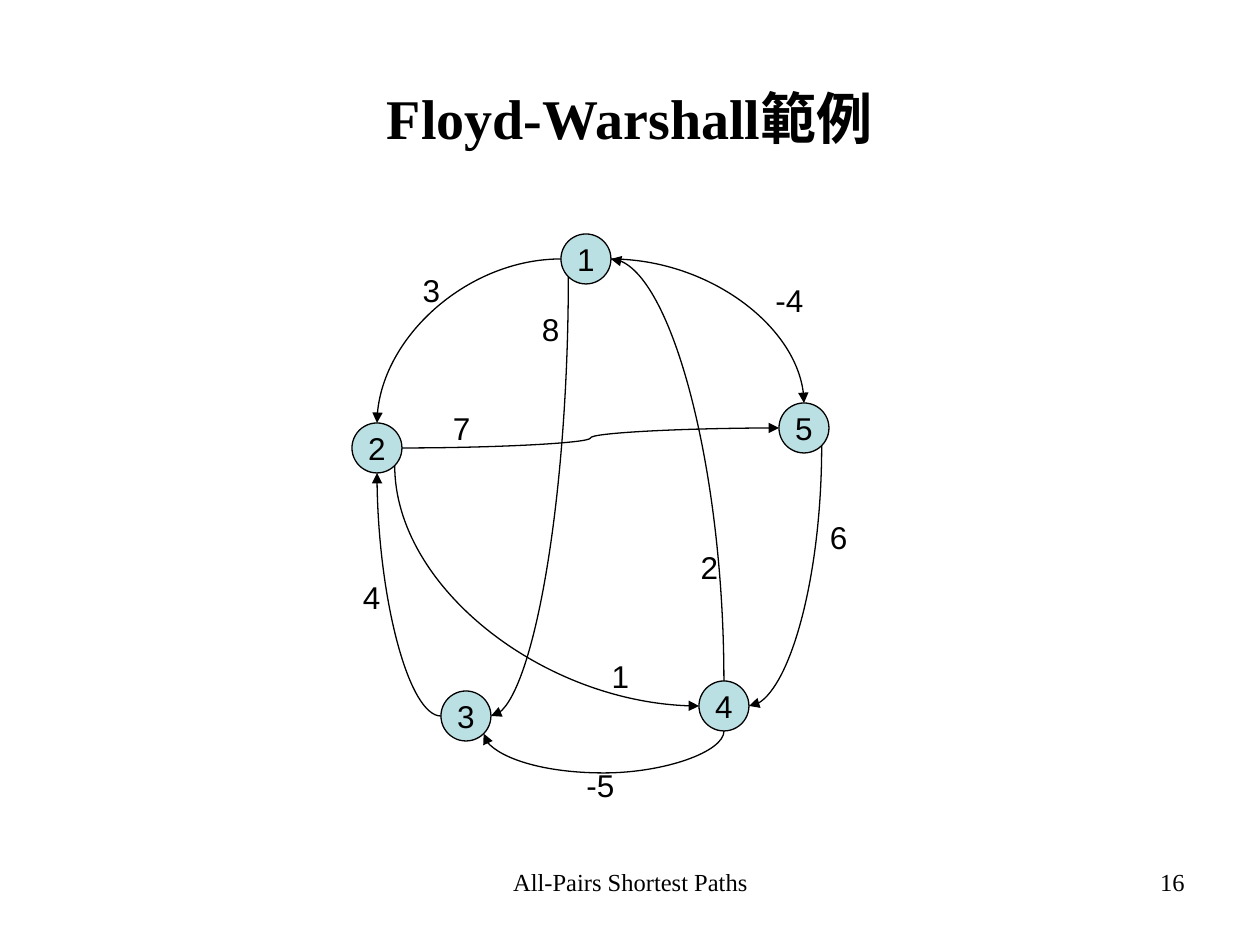
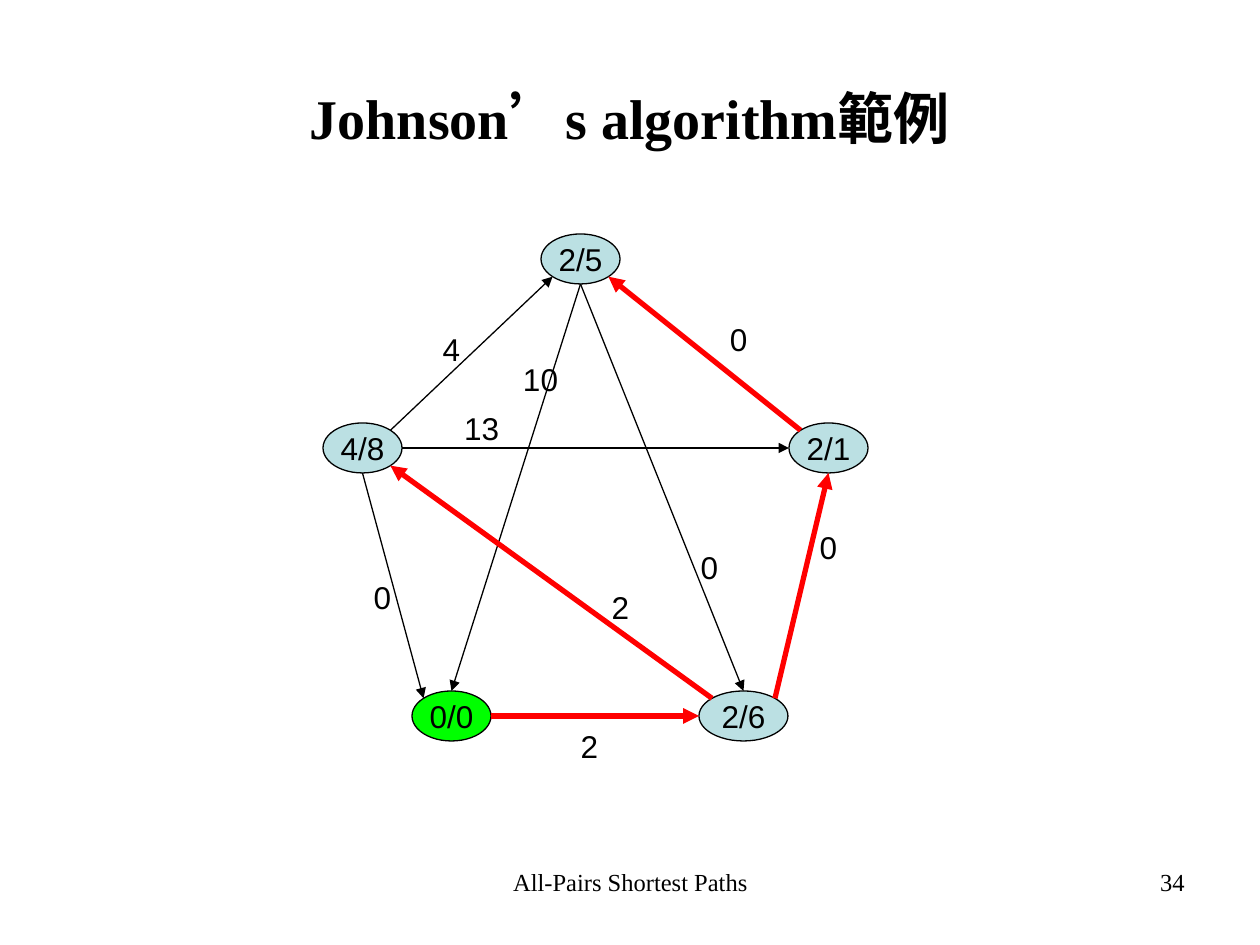
"""Build two slides of weighted directed graphs on all-pairs shortest paths."""
import math

import lxml.etree
import pptx
import pptx.dml.color
import pptx.enum.lang
import pptx.enum.shapes
import pptx.enum.text
import pptx.oxml.ns
import pptx.util

PX = 914400 / 126
COLORS = {"ink": "000000", "node": "BBE0E3", "source": "00FF00", "path": "FF0000"}
SERIF, SANS = "Times New Roman", "Arial"
ALIGN = pptx.enum.text.PP_ALIGN
ANCHOR = pptx.enum.text.MSO_ANCHOR
LINK = pptx.enum.shapes.MSO_CONNECTOR
TITLE_BOX = (63, 38, 1134, 158)
FOOTER_BOX = (431, 861, 399, 65)
NUMBER_BOX = (903, 861, 294, 65)
GRAPH_BOX = (312, 234, 576, 576)
NODE_HEIGHT = 50
LABEL_SIZE = (119, 50)
SIDE_SITES = (2, 6)

FLOYD = {
    "title": "Floyd-Warshall範例",
    "number": 16,
    "nodes": {
        "1": (249, 0, 50, "node"),
        "2": (40, 189, 50, "node"),
        "5": (467, 169, 50, "node"),
        "3": (129, 457, 50, "node"),
        "4": (387, 447, 50, "node"),
    },
    "edges": [
        ("1", 2, "2", 0, "3", (60, 31), {}),
        ("1", 3, "3", 6, "8", (179, 70), {}),
        ("1", 6, "5", 0, "-4", (418, 41), {}),
        ("2", 5, "4", 2, "1", (249, 417), {}),
        ("2", 6, "5", 2, "7", (90, 169), {}),
        ("3", 2, "2", 4, "4", (0, 338), {}),
        ("4", 0, "1", 6, "2", (338, 308), {}),
        ("4", 4, "3", 5, "-5", (229, 526), {"drop": 42}),
        ("5", 5, "4", 6, "6", (467, 278), {}),
    ],
    "curved": True,
}
HEAVY = {"color": "path", "width": 3}
JOHNSON = {
    "title": "Johnson’s algorithm範例",
    "number": 34,
    "nodes": {
        "2/5": (229, 0, 79, "node"),
        "4/8": (11, 189, 79, "node"),
        "2/1": (477, 189, 79, "node"),
        "0/0": (100, 457, 79, "source"),
        "2/6": (387, 457, 89, "node"),
    },
    "edges": [
        ("4/8", 7, "2/5", 3, "4", (80, 90), {}),
        ("2/1", 1, "2/5", 5, "0", (367, 80), HEAVY),
        ("4/8", 4, "0/0", 1, "0", (11, 338), {}),
        ("0/0", 6, "2/6", 2, "2", (218, 487), HEAVY),
        ("2/6", 7, "2/1", 4, "0", (457, 288), HEAVY),
        ("2/5", 4, "0/0", 0, "10", (169, 120), {}),
        ("2/5", 4, "2/6", 0, "0", (338, 308), {}),
        ("2/6", 1, "4/8", 5, "2", (249, 348), HEAVY),
        ("4/8", 6, "2/1", 2, "13", (110, 169), {}),
    ],
    "curved": False,
}


def emu(*lengths):
    """Turn px lengths into EMU."""
    return [pptx.util.Emu(round(length * PX)) for length in lengths]


def rgb(name):
    """Look up a named colour."""
    return pptx.dml.color.RGBColor.from_string(COLORS[name])


def write(frame, text, size=18, font=SANS, bold=False, align=ALIGN.CENTER,
          anchor=ANCHOR.TOP, wrap=True):
    """Put one formatted paragraph into a text frame."""
    frame.word_wrap = wrap
    frame.vertical_anchor = anchor
    para = frame.paragraphs[0]
    para.alignment = align
    span = para.add_run()
    span.text = text
    span.font.size = pptx.util.Pt(size)
    span.font.name = font
    span.font.bold = bold
    span.font.color.rgb = rgb("ink")
    span.font.language_id = pptx.enum.lang.MSO_LANGUAGE_ID.TRADITIONAL_CHINESE


def add_text(page, box, text, **style):
    """Add a text box."""
    write(page.shapes.add_textbox(*emu(*box)).text_frame, text, **style)


def add_frame(page, title, number):
    """Add the title, the footer and the page number."""
    add_text(page, TITLE_BOX, title, size=32, font=SERIF, bold=True, anchor=ANCHOR.MIDDLE)
    add_text(page, FOOTER_BOX, "All-Pairs Shortest Paths", size=14, font=SERIF)
    add_text(page, NUMBER_BOX, str(number), size=14, font=SERIF, align=ALIGN.RIGHT)


def add_node(page, box, text, color):
    """Add a labelled ellipse."""
    node = page.shapes.add_shape(pptx.enum.shapes.MSO_SHAPE.OVAL, *emu(*box))
    node.shadow.inherit = False
    node.fill.solid()
    node.fill.fore_color.rgb = rgb(color)
    node.line.color.rgb = rgb("ink")
    node.line.width = pptx.util.Pt(0.75)
    write(node.text_frame, text, anchor=ANCHOR.MIDDLE, wrap=False)
    return node


def site_point(node, site):
    """Find a connection site, counted anticlockwise from the top."""
    angle = math.radians(45 * site)
    return (node.left + node.width / 2 * (1 - math.sin(angle)),
            node.top + node.height / 2 * (1 - math.cos(angle)))


def bend(edge, start, end, sites, drop):
    """Curve a connector so that it leaves and enters along its sites' axes."""
    dx, dy = end[0] - start[0], end[1] - start[1]
    sideways, lands_sideways = [site in SIDE_SITES for site in sites]
    width, height = (abs(dx), abs(dy)) if sideways else (abs(dy), abs(dx))
    edge.left = round((start[0] + end[0] - width) / 2)
    edge.top = round((start[1] + end[1] - height) / 2)
    edge.width, edge.height = round(width), round(height)
    if sideways:
        turn, flip, flipped = 180 if dx < 0 else 0, "flipV", (dx < 0) != (dy < 0)
    else:
        turn, flip, flipped = 90 if dx < 0 else 270, "flipH", (dx < 0) != (dy > 0)
    form = edge._element.spPr.find(pptx.oxml.ns.qn("a:xfrm"))
    for name in ("flipH", "flipV"):
        form.set(name, str(int(flipped and name == flip)))
    form.set("rot", str(turn * 60000))
    shape = edge._element.spPr.find(pptx.oxml.ns.qn("a:prstGeom"))
    shape.set("prst", "curvedConnector3" if sideways == lands_sideways else "curvedConnector2")
    if drop:
        guides = shape.find(pptx.oxml.ns.qn("a:avLst"))
        ratio = round(drop * PX / width * 100000)
        lxml.etree.SubElement(guides, pptx.oxml.ns.qn("a:gd"), name="adj1", fmla=f"val {ratio}")


def add_edge(page, nodes, sites, curved, color="ink", width=0.75, drop=None):
    """Add an arrow glued to two nodes."""
    start, end = [site_point(node, site) for node, site in zip(nodes, sites)]
    kind = LINK.CURVE if curved else LINK.STRAIGHT
    edge = page.shapes.add_connector(kind, *[round(value) for value in start + end])
    edge.line.color.rgb = rgb(color)
    edge.line.width = pptx.util.Pt(width)
    if curved:
        bend(edge, start, end, sites, drop)
    qn = pptx.oxml.ns.qn
    glue = edge._element.find(".//" + qn("p:cNvCxnSpPr"))
    for tag, node, site in zip(("a:stCxn", "a:endCxn"), nodes, sites):
        lxml.etree.SubElement(glue, qn(tag), id=str(node.shape_id), idx=str(site))
    look = edge._element.spPr
    lxml.etree.SubElement(look.find(qn("a:ln")), qn("a:tailEnd"), type="triangle")
    lxml.etree.SubElement(look, qn("a:effectLst"))


def add_graph(page, box, nodes, edges, curved):
    """Add a graph's nodes, arrows and weights inside a box."""
    left, top = box[:2]
    placed = {
        text: add_node(page, (left + x, top + y, width, NODE_HEIGHT), text, color)
        for text, (x, y, width, color) in nodes.items()
    }
    for tail, tail_site, head, head_site, weight, (x, y), style in edges:
        add_edge(page, (placed[tail], placed[head]), (tail_site, head_site), curved, **style)
        add_text(page, (left + x, top + y, *LABEL_SIZE), weight)


def main():
    """Build and save the deck."""
    deck = pptx.Presentation()
    deck.slide_width, deck.slide_height = emu(1260, 945)
    for graph in (FLOYD, JOHNSON):
        page = deck.slides.add_slide(deck.slide_layouts[6])
        add_frame(page, graph["title"], graph["number"])
        add_graph(page, GRAPH_BOX, graph["nodes"], graph["edges"], graph["curved"])
    deck.save("out.pptx")


if __name__ == "__main__":
    main()
